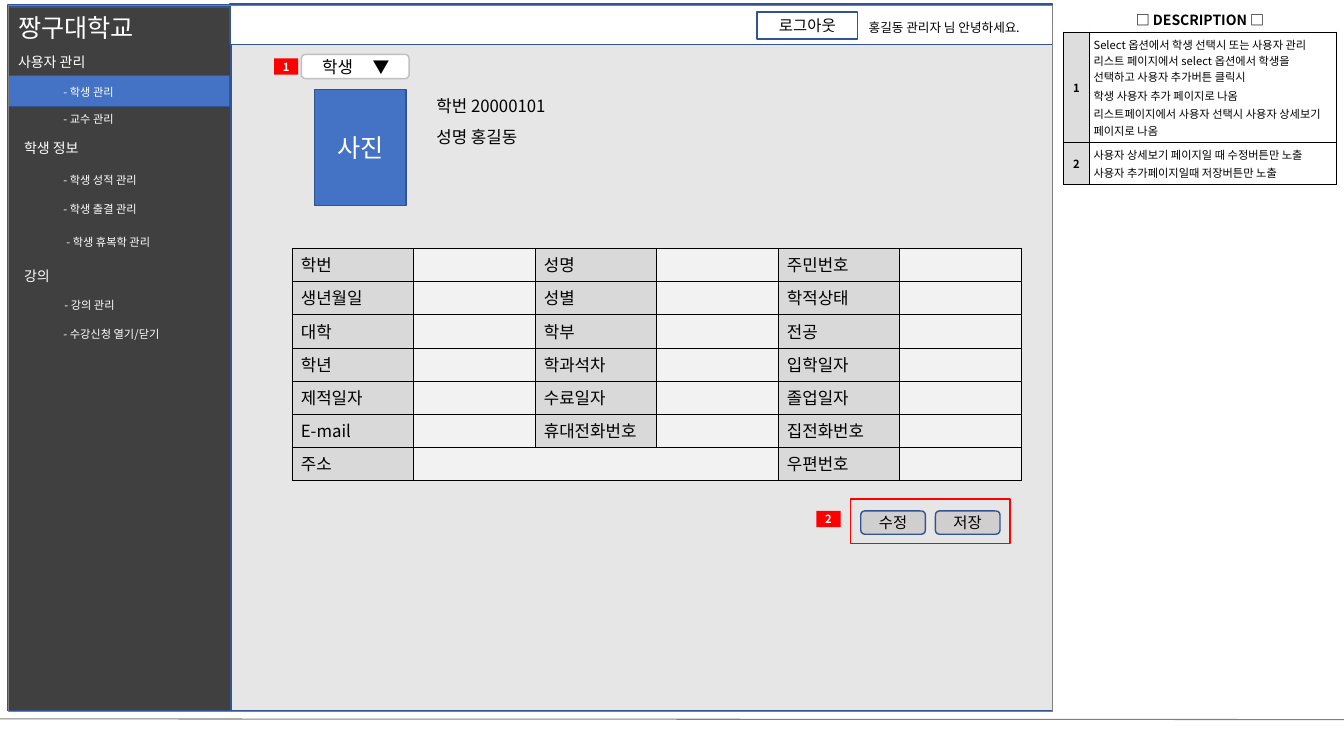
import pptx
import pptx.dml.color
import pptx.enum.shapes
import pptx.enum.text
import pptx.oxml.ns
import pptx.util
from dataclasses import dataclass
from lxml import etree

Pt = pptx.util.Pt
qn = pptx.oxml.ns.qn
SHAPE = pptx.enum.shapes.MSO_SHAPE
ALIGN = pptx.enum.text.PP_ALIGN
ANCHOR = pptx.enum.text.MSO_ANCHOR
FIT = pptx.enum.text.MSO_AUTO_SIZE


@dataclass(frozen=True)
class Theme:
    font: str = "Noto Sans CJK KR"
    black: str = "000000"
    white: str = "FFFFFF"
    navy: str = "325491"
    blue: str = "4472C4"
    red: str = "FF0000"
    sidebar: str = "404040"
    screen: str = "E7E6E6"
    button: str = "D0CECE"
    frame: str = "808080"
    dropdown_line: str = "BFBFBF"
    label_cell: str = "D9D9D9"
    value_cell: str = "F2F2F2"
    number_cell: str = "DDDDDD"
    heading: float = 18
    body: float = 12
    control: float = 11
    section: float = 10
    greeting: float = 9
    small: float = 8


THEME = Theme()

TITLE = "짱구대학교"
# text, left, top
SECTIONS = [("사용자 관리", 5.8, 34.6), ("학생 정보", 10.1, 95.8), ("강의", 10.1, 187.2)]
# text, left, top, width
MENU = [
    ("- 학생 관리", 38.2, 57.6, 56.2),
    ("- 교수 관리", 38.2, 77, 56.2),
    ("- 학생 성적 관리", 38.2, 120.2, 74.9),
    ("- 학생 출결 관리", 38.2, 141.1, 74.9),
    ("- 학생 휴복학 관리", 40.3, 164.2, 82.8),
    ("- 강의 관리", 38.9, 209.5, 59),
    ("- 수강신청 열기/닫기", 38.2, 230.4, 91.4),
]
GREETING = "홍길동 관리자 님 안녕하세요."
PROFILE = [("학번 20000101", 64.8, 96.5), ("성명 홍길동", 87.1, 79.2)]
BUTTONS = ["수정", "저장"]
BADGES = [("1", 195.8, 41.8), ("2", 583.2, 365)]
FIELDS = [
    ("학번", "성명", "주민번호"),
    ("생년월일", "성별", "학적상태"),
    ("대학", "학부", "전공"),
    ("학년", "학과석차", "입학일자"),
    ("제적일자", "수료일자", "졸업일자"),
    ("E-mail", "휴대전화번호", "집전화번호"),
    ("주소", None, "우편번호"),
]
DESCRIPTION_TITLE = "□ DESCRIPTION □"
DESCRIPTIONS = [
    ["Select 옵션에서 학생 선택시 또는 사용자 관리 리스트 페이지에서 select 옵션에서 학생을 "
     "선택하고 사용자 추가버튼 클릭시",
     "학생 사용자 추가 페이지로 나옴",
     "리스트페이지에서 사용자 선택시 사용자 상세보기 페이지로 나옴"],
    ["사용자 상세보기 페이지일 때 수정버튼만 노출",
     "사용자 추가페이지일때 저장버튼만 노출"],
]


def rgb(value):
    return pptx.dml.color.RGBColor.from_string(value)


def write(frame, text, size, color=THEME.black, bold=False, align=ALIGN.LEFT, before=None):
    frame.text = text
    for para in frame.paragraphs:
        para.alignment = align
        if before is not None:
            para.space_before = Pt(before)
        for span in para.runs:
            span.font.size, span.font.bold = Pt(size), bold
            span.font.color.rgb = rgb(color)
            span.font.name = THEME.font
            etree.SubElement(span._r.get_or_add_rPr(), qn("a:ea"), typeface=THEME.font)
        if not para.runs:
            etree.SubElement(para._p, qn("a:endParaRPr"), sz=str(int(size * 100)))


def add_box(page, place, fill=None, line=None, kind=SHAPE.RECTANGLE, weight=1):
    box = page.shapes.add_shape(kind, *map(Pt, place))
    box.shadow.inherit = False
    if fill:
        box.fill.solid()
        box.fill.fore_color.rgb = rgb(fill)
    else:
        box.fill.background()
    if line:
        box.line.color.rgb = rgb(line)
        box.line.width = Pt(weight)
    else:
        box.line.fill.background()
    box.text_frame.vertical_anchor = ANCHOR.MIDDLE
    return box


def add_label(page, place, text, size, color=THEME.black, wrap=False):
    frame = page.shapes.add_textbox(*map(Pt, place)).text_frame
    frame.word_wrap = wrap
    frame.auto_size = FIT.SHAPE_TO_FIT_TEXT
    write(frame, text, size, color)


def style_cell(cell, fill, weight, sides="LRTB", margins=(2.88, 2.88)):
    cell.margin_left = cell.margin_right = Pt(margins[0])
    cell.margin_top = cell.margin_bottom = Pt(margins[1])
    properties = cell._tc.get_or_add_tcPr()
    for side in "LRTB":
        shown = side in sides
        border = etree.SubElement(properties, qn("a:ln" + side), w=str(Pt(weight if shown else 0)))
        if shown:
            paint = etree.SubElement(border, qn("a:solidFill"))
            etree.SubElement(paint, qn("a:srgbClr"), val=THEME.black)
        else:
            etree.SubElement(border, qn("a:noFill"))
    cell.fill.solid()
    cell.fill.fore_color.rgb = rgb(fill)


def add_grid(page, left, top, widths, heights):
    grid = page.shapes.add_table(len(heights), len(widths), Pt(left), Pt(top),
                                 Pt(sum(widths)), Pt(sum(heights))).table
    grid.first_row = grid.horz_banding = False
    for column, width in zip(grid.columns, widths):
        column.width = Pt(width)
    for row, height in zip(grid.rows, heights):
        row.height = Pt(height)
    return grid


def add_descriptions(page):
    grid = add_grid(page, 759.6, 3.6, [18.7, 176.4], [19.4, 78.6, 30.2])
    grid.cell(0, 0).merge(grid.cell(0, 1))
    for column in range(2):
        style_cell(grid.cell(0, column), THEME.white, 1, sides="B")
    write(grid.cell(0, 0).text_frame, DESCRIPTION_TITLE, THEME.section, bold=True,
          align=ALIGN.CENTER, before=2)
    for number, lines in enumerate(DESCRIPTIONS, 1):
        key, note = grid.cell(number, 0), grid.cell(number, 1)
        style_cell(key, THEME.number_cell, 1)
        style_cell(note, THEME.white, 1)
        write(key.text_frame, str(number), THEME.small, bold=True, align=ALIGN.CENTER, before=1.6)
        write(note.text_frame, "\n".join(lines), THEME.small, before=1.6)
    for cell in grid.iter_cells():
        cell.vertical_anchor = ANCHOR.MIDDLE


def add_fields(page):
    grid = add_grid(page, 208.4, 177.3, [86.8] * 6, [23.7] * len(FIELDS))
    for row, labels in enumerate(FIELDS):
        for pair, label in enumerate(labels):
            key, value = grid.cell(row, 2 * pair), grid.cell(row, 2 * pair + 1)
            style_cell(key, THEME.label_cell if label else THEME.value_cell, 0.25, margins=(6.5, 2.88))
            style_cell(value, THEME.value_cell, 0.25, margins=(6.5, 2.88))
            write(key.text_frame, label or "", THEME.body)
            write(value.text_frame, "", THEME.body)
    last = len(FIELDS) - 1
    grid.cell(last, 1).merge(grid.cell(last, 3))


def add_dropdown(page):
    box = add_box(page, (215.3, 38.9, 77, 17.3), THEME.white, THEME.dropdown_line,
                  SHAPE.ROUNDED_RECTANGLE)
    box.text_frame.margin_left = Pt(14)
    box.text_frame.margin_right = 0
    write(box.text_frame, "학생\t▼", THEME.body)
    properties = box.text_frame.paragraphs[0]._p.get_or_add_pPr()
    stops = etree.SubElement(properties, qn("a:tabLst"))
    etree.SubElement(stops, qn("a:tab"), pos=str(Pt(36)), algn="l")


def add_sidebar(page):
    sidebar = add_box(page, (5.8, 5, 159.1, 502.6), THEME.sidebar, THEME.navy)
    title = page.shapes.title
    sidebar._element.addnext(title._element)
    title.left, title.top, title.width, title.height = map(Pt, (5.8, 5, 105.1, 28.8))
    title.text_frame.word_wrap = False
    title.text_frame.auto_size = FIT.SHAPE_TO_FIT_TEXT
    title.text_frame.vertical_anchor = ANCHOR.TOP
    write(title.text_frame, TITLE, THEME.heading, THEME.white)
    add_box(page, (5.8, 54, 158.4, 22.3), THEME.blue, THEME.navy)
    for text, left, top in SECTIONS:
        add_label(page, (left, top, 217.4, 19.4), text, THEME.section, THEME.white, wrap=True)
    for text, left, top, width in MENU:
        add_label(page, (left, top, width, 17.3), text, THEME.small, THEME.white)


def add_content(page):
    logout = add_box(page, (540.7, 8.6, 72, 19.4), THEME.white, THEME.navy)
    write(logout.text_frame, "로그아웃", THEME.control, align=ALIGN.CENTER)
    add_label(page, (613.4, 10.8, 135.4, 18), GREETING, THEME.greeting)
    add_dropdown(page)
    photo = add_box(page, (224.6, 64.1, 65.5, 82.8), THEME.blue, THEME.navy)
    write(photo.text_frame, "사진", THEME.heading, THEME.white, align=ALIGN.CENTER)
    for text, top, width in PROFILE:
        add_label(page, (304.6, top, width, 21.6), text, THEME.body)
    add_fields(page)
    for index, text in enumerate(BUTTONS):
        button = add_box(page, (614.9 + 53.3 * index, 365, 46.1, 16.6), THEME.button, THEME.navy,
                         SHAPE.ROUNDED_RECTANGLE)
        write(button.text_frame, text, THEME.control, align=ALIGN.CENTER)
    add_box(page, (607.7, 356.4, 113.8, 31.7), line=THEME.red)
    for text, left, top in BADGES:
        badge = add_box(page, (left, top, 17.3, 11.5), THEME.red)
        badge.text_frame.word_wrap = False
        write(badge.text_frame, text, THEME.small, THEME.white, bold=True, align=ALIGN.CENTER)


def main():
    deck = pptx.Presentation()
    deck.slide_width, deck.slide_height = Pt(960), Pt(540)
    page = deck.slides.add_slide(deck.slide_layouts.get_by_name("Title Only"))
    add_box(page, (5.8, 3.6, 745.9, 504), THEME.screen, THEME.navy)
    add_sidebar(page)
    add_box(page, (164.2, 2.9, 587.5, 28.8), THEME.white, THEME.navy)
    add_descriptions(page)
    add_box(page, (5.8, 3.6, 745.9, 504.7), line=THEME.frame, weight=0.75)
    footer = page.shapes.add_connector(pptx.enum.shapes.MSO_CONNECTOR.STRAIGHT,
                                       Pt(0), Pt(513.5), Pt(960), Pt(514))
    footer.line.color.rgb = rgb(THEME.frame)
    footer.line.width = Pt(0.75)
    etree.SubElement(footer._element.spPr, qn("a:effectLst"))
    add_content(page)
    deck.save("out.pptx")


if __name__ == "__main__":
    main()
